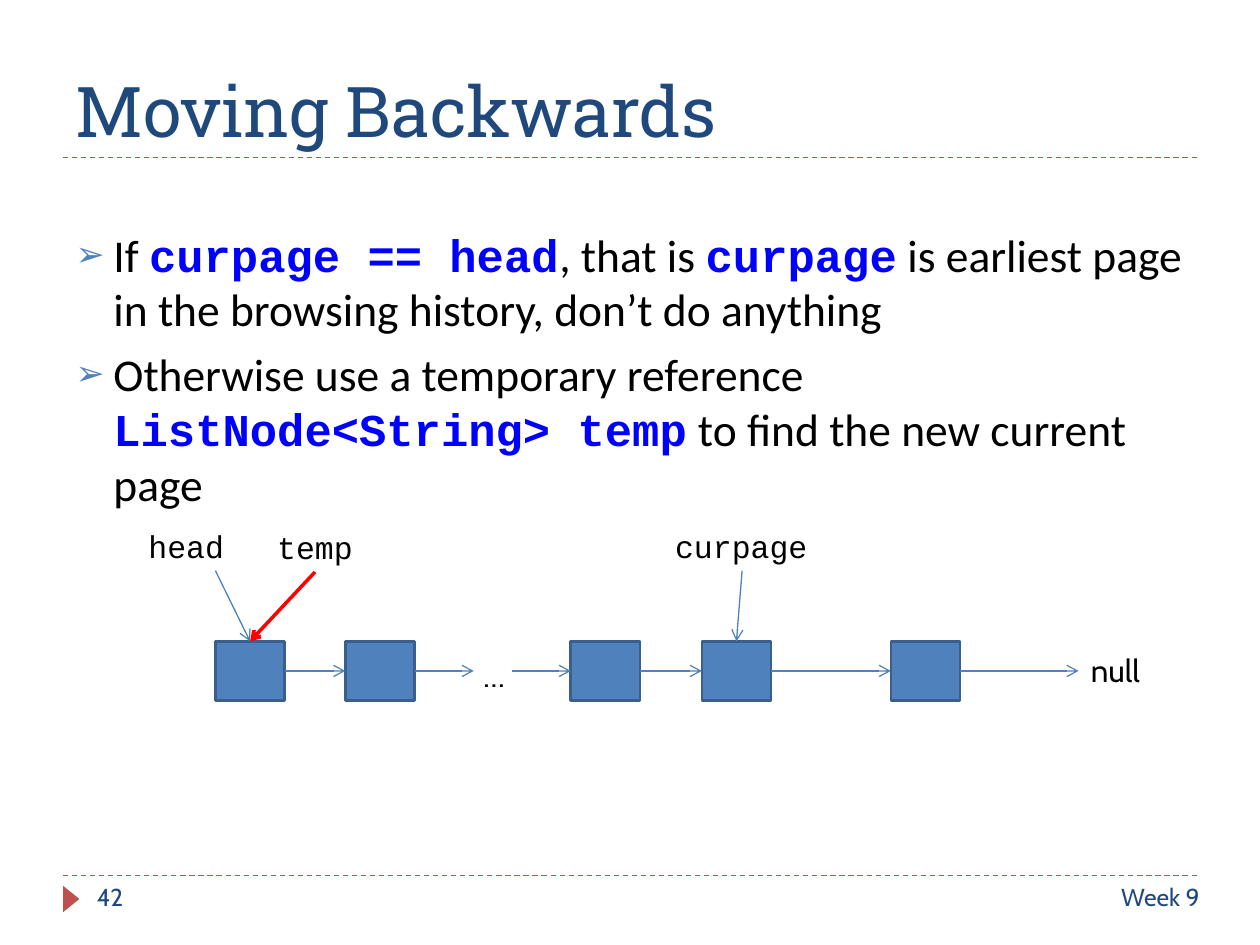
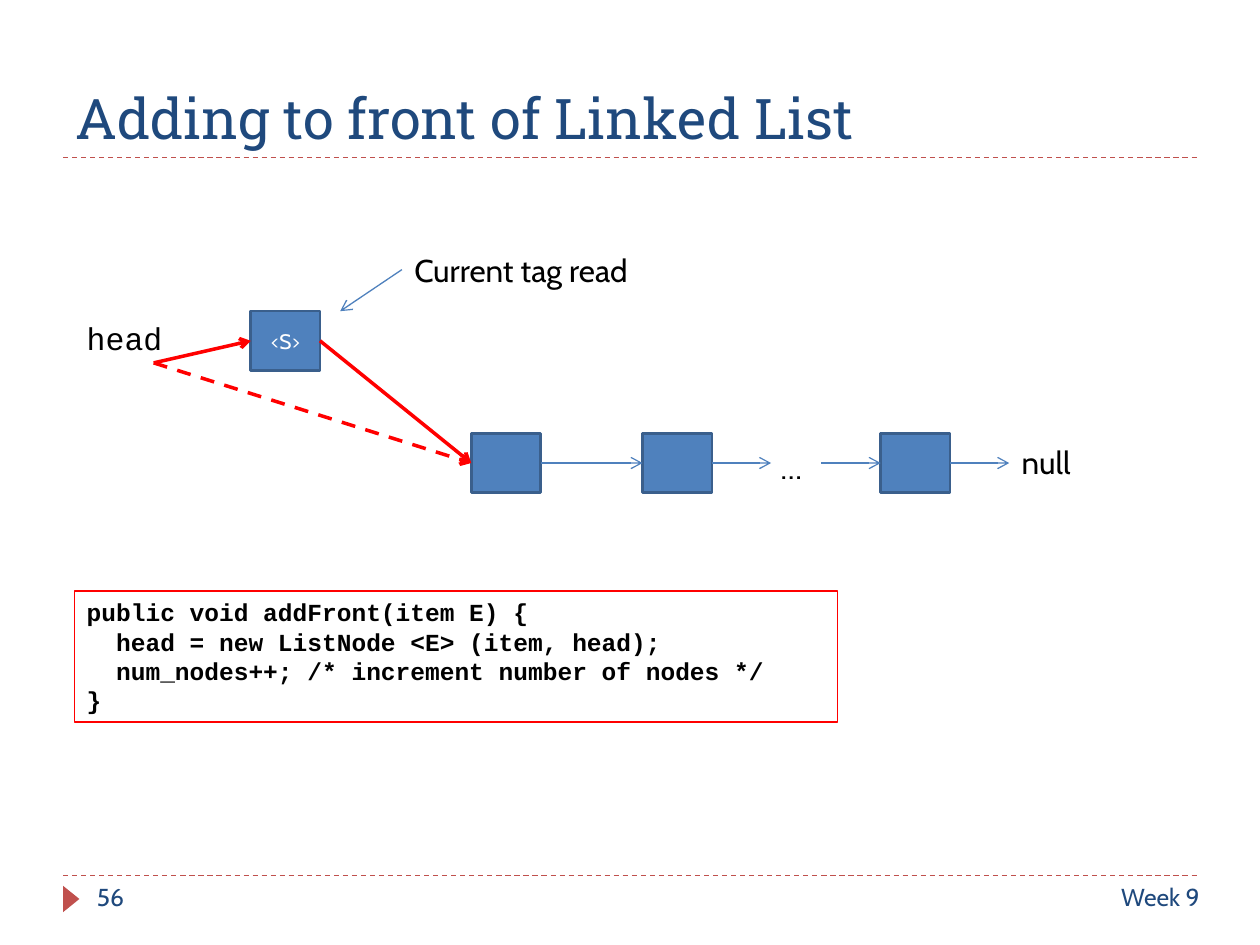
from lxml import etree
from pptx import Presentation
from pptx.dml.color import RGBColor
from pptx.enum import dml, shapes, text
from pptx.oxml import ns
from pptx.util import Inches, Pt

NAVY = RGBColor(0x1F, 0x49, 0x7D)
BLUE = RGBColor(0x4F, 0x81, 0xBD)
EDGE = RGBColor(0x3A, 0x5F, 0x8C)
BRICK = RGBColor(0xC0, 0x50, 0x4D)
RED = RGBColor(0xFF, 0x00, 0x00)
CODE_BLUE = RGBColor(0x00, 0x00, 0xFF)
BLACK = RGBColor(0x00, 0x00, 0x00)
WHITE = RGBColor(0xFF, 0xFF, 0xFF)

SANS, SLAB, BODY, MONO = "Cabin", "Roboto Slab", "Calibri", "Courier New"
LABEL = dict(name=SANS, size=Pt(18), color=BLACK)
CODE_LABEL = dict(LABEL, name=MONO)
FOOTER = dict(name=SANS, size=Pt(14), color=NAVY)
CODE = dict(name=MONO, size=Pt(14), color=BLACK, bold=True)
PLAIN = dict(name=BODY, size=Pt(26), color=BLACK, bold=False)
CODE_TERM = dict(PLAIN, name=MONO, color=CODE_BLUE, bold=True)

TOP, LEFT, BOTTOM, RIGHT = range(4)
NODE_W, NODE_H = 0.55, 0.47
STUB = 0.47
LABEL_W, LABEL_H = 1.26, 0.4


def box(left, top, width, height):
    return [Inches(v) for v in (left, top, width, height)]


def style(font, fmt):
    for key, value in fmt.items():
        if key == "color":
            font.color.rgb = value
        else:
            setattr(font, key, value)


def write(tf, lines, fmt, align=text.PP_ALIGN.LEFT):
    tf.word_wrap = True
    for i, line in enumerate(lines):
        p = tf.paragraphs[0] if i == 0 else tf.add_paragraph()
        p.alignment = align
        r = p.add_run()
        r.text = line
        style(r.font, fmt)


def add_label(parts, words, left, top, width=LABEL_W, fmt=LABEL,
              align=text.PP_ALIGN.LEFT):
    sp = parts.add_textbox(*box(left, top, width, LABEL_H))
    write(sp.text_frame, [words], fmt, align)
    return sp


def add_line(parts, start, end, color=BLUE, width=0.75, dashed=False, arrow=True):
    ends = []
    for point in (start, end):
        joined = hasattr(point[0], "shape_id")
        ends.append((0, 0) if joined else [Inches(v) for v in point])
    c = parts.add_connector(shapes.MSO_CONNECTOR.STRAIGHT, *ends[0], *ends[1])
    for point, join in ((start, c.begin_connect), (end, c.end_connect)):
        if hasattr(point[0], "shape_id"):
            join(*point)
    c.line.color.rgb = color
    c.line.width = Pt(width)
    if dashed:
        c.line.dash_style = dml.MSO_LINE.DASH
    if arrow:
        ln = c.line._get_or_add_ln()
        etree.SubElement(ln, ns.qn("a:tailEnd"), type="arrow")
    etree.SubElement(c._element.spPr, ns.qn("a:effectLst"))
    return c


def add_node(parts, left, top, words=None):
    sp = parts.add_shape(shapes.MSO_SHAPE.RECTANGLE, *box(left, top, NODE_W, NODE_H))
    sp.shadow.inherit = False
    sp.fill.solid()
    sp.fill.fore_color.rgb = BLUE
    sp.line.color.rgb = EDGE
    sp.line.width = Pt(1.5)
    if words:
        sp.text_frame.vertical_anchor = text.MSO_ANCHOR.MIDDLE
        write(sp.text_frame, [words], dict(LABEL, size=Pt(12), color=WHITE),
              text.PP_ALIGN.CENTER)
    return sp


def add_chain(parts, left, top, offsets, skip, null_gap):
    xs = [left + dx for dx in offsets]
    mid = top + NODE_H / 2
    nodes = [add_node(parts, x, top) for x in xs]
    for i in range(len(nodes) - 1):
        out, into = (nodes[i], RIGHT), (nodes[i + 1], LEFT)
        if i == skip:
            add_line(parts, out, (xs[i] + NODE_W + STUB, mid))
            add_line(parts, (xs[i + 1] - STUB, mid), into)
            add_label(parts, "…", xs[i] + STUB, top + 0.07, 1.42,
                      align=text.PP_ALIGN.CENTER)
        else:
            add_line(parts, out, into)
    end = xs[-1] + NODE_W + null_gap
    add_line(parts, (nodes[-1], RIGHT), (end, mid))
    add_label(parts, "null", end, top + 0.03, 0.69)
    return nodes


def add_code(parts, left, top, width, height, lines):
    sp = parts.add_shape(shapes.MSO_SHAPE.RECTANGLE, *box(left, top, width, height))
    sp.shadow.inherit = False
    sp.fill.background()
    sp.line.color.rgb = RED
    sp.line.width = Pt(0.75)
    sp.text_frame.vertical_anchor = text.MSO_ANCHOR.TOP
    write(sp.text_frame, lines, CODE)


def place(sp, left, top, width, height):
    sp.left, sp.top, sp.width, sp.height = box(left, top, width, height)


def add_frame(prs, layout, title, size, page):
    s = prs.slides.add_slide(prs.slide_layouts[layout])
    sp = s.shapes.title
    place(sp, 0.5, 0.17, 9, 1.08)
    tf = sp.text_frame
    tf.auto_size = text.MSO_AUTO_SIZE.NONE
    tf.vertical_anchor = text.MSO_ANCHOR.BOTTOM
    write(tf, [title], dict(name=SLAB, size=Pt(size), color=NAVY))
    for y in (1.25, 6.95):
        add_line(s.shapes, (0.5, y), (9.5, y), BRICK, dashed=True, arrow=False)
    marker = s.shapes.add_shape(shapes.MSO_SHAPE.ISOSCELES_TRIANGLE,
                                *box(0.46, 7.07, 0.21, 0.13))
    marker.rotation = 90
    marker.shadow.inherit = False
    marker.fill.solid()
    marker.fill.fore_color.rgb = BRICK
    marker.line.fill.background()
    add_label(s.shapes, page, 0.67, 6.95, 2.17, FOOTER)
    add_label(s.shapes, "Week 9", 5.79, 6.95, 3.83, FOOTER, text.PP_ALIGN.RIGHT)
    return s


def add_bullet(p):
    pPr = p._p.get_or_add_pPr()
    pPr.set("marL", str(Inches(0.3)))
    pPr.set("indent", str(Inches(-0.3)))
    clr = etree.SubElement(pPr, ns.qn("a:buClr"))
    etree.SubElement(clr, ns.qn("a:srgbClr"), val=str(BLUE))
    etree.SubElement(pPr, ns.qn("a:buSzPct"), val="76000")
    etree.SubElement(pPr, ns.qn("a:buChar"), char="➢")


def fill_list(sp, items):
    place(sp, 0.5, 1.75, 9, 5.62)
    tf = sp.text_frame
    tf.auto_size = text.MSO_AUTO_SIZE.NONE
    for i, runs in enumerate(items):
        p = tf.add_paragraph() if i else tf.paragraphs[0]
        add_bullet(p)
        p.space_before = Pt(6 if i else 0)
        for words, fmt in runs:
            r = p.add_run()
            r.text = words
            style(r.font, fmt)


def add_backwards_diagram(parts, left, top):
    nodes = add_chain(parts, left + 0.63, top + 0.96,
                      (0, 1.03, 2.82, 3.86, 5.36), skip=1, null_gap=0.94)
    head = add_label(parts, "head", left, top, fmt=CODE_LABEL)
    temp = add_label(parts, "temp", left + 0.79, top + 0.01, fmt=CODE_LABEL,
                     align=text.PP_ALIGN.CENTER)
    curpage = add_label(parts, "curpage", left + 4.18, top, fmt=CODE_LABEL)
    add_line(parts, (head, BOTTOM), (nodes[0], TOP))
    add_line(parts, (temp, BOTTOM), (nodes[0], TOP), RED, 2)
    add_line(parts, (curpage, BOTTOM), (nodes[3], TOP))


def add_front_diagram(parts, left, top):
    nodes = add_chain(parts, left + 3.15, top + 1.5, (0, 1.36, 3.25),
                      skip=1, null_gap=STUB)
    head = add_label(parts, "head", left, top + 0.54, fmt=CODE_LABEL)
    tag = add_label(parts, "Current tag read", left + 2.6, top, 2.2)
    new_node = add_node(parts, left + 1.4, top + 0.53, "<S>")
    add_line(parts, (tag, LEFT), (left + 2.11, top + 0.53))
    add_line(parts, (head, BOTTOM), (nodes[0], LEFT), RED, 2, dashed=True)
    add_line(parts, (head, BOTTOM), (new_node, LEFT), RED, 2)
    add_line(parts, (new_node, RIGHT), (nodes[0], LEFT), RED, 2)


def backwards_slide(prs):
    s = add_frame(prs, 1, "Moving Backwards", 40, "42")
    fill_list(s.placeholders[1], [
        [("If ", PLAIN), ("curpage == head", CODE_TERM), (", that is ", PLAIN),
         ("curpage", CODE_TERM),
         (" is earliest page in the browsing history, don’t do anything", PLAIN)],
        [("Otherwise use a temporary reference ", PLAIN),
         ("ListNode<String> temp", CODE_TERM),
         (" to find the new current page", PLAIN)],
    ])
    add_backwards_diagram(s.shapes.add_group_shape().shapes, 1.08, 4.13)


def front_slide(prs):
    s = add_frame(prs, 5, "Adding to front of Linked List", 32, "56")
    add_front_diagram(s.shapes, 0.59, 1.94)
    add_code(s.shapes, 0.59, 4.69, 6.06, 1.04, [
        "public void addFront(item E) {",
        "  head = new ListNode <E> (item, head);",
        "  num_nodes++; /* increment number of nodes */",
        "}",
    ])


def main():
    prs = Presentation()
    prs.slide_width, prs.slide_height = Inches(10), Inches(7.5)
    backwards_slide(prs)
    front_slide(prs)
    prs.save("out.pptx")


if __name__ == "__main__":
    main()
